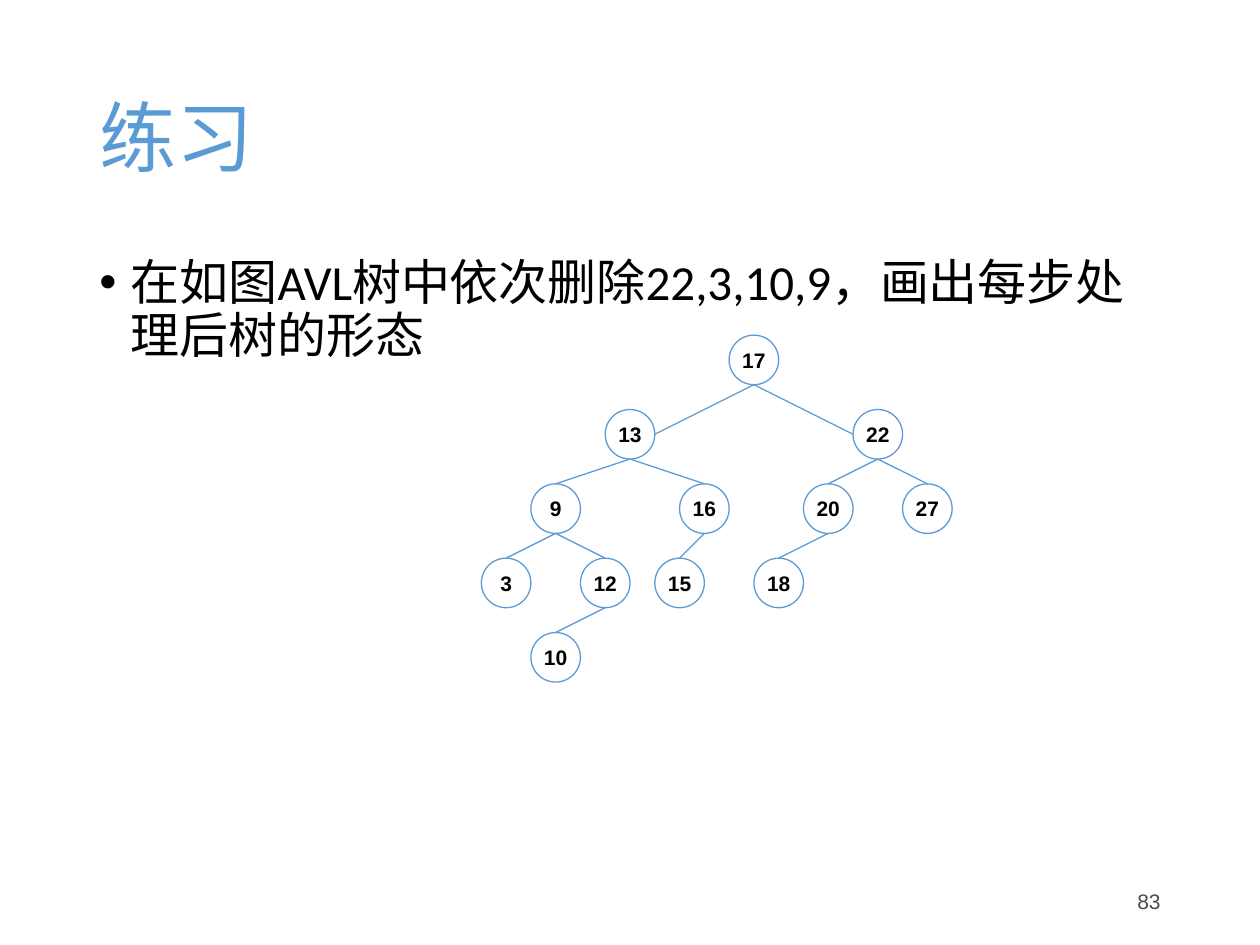
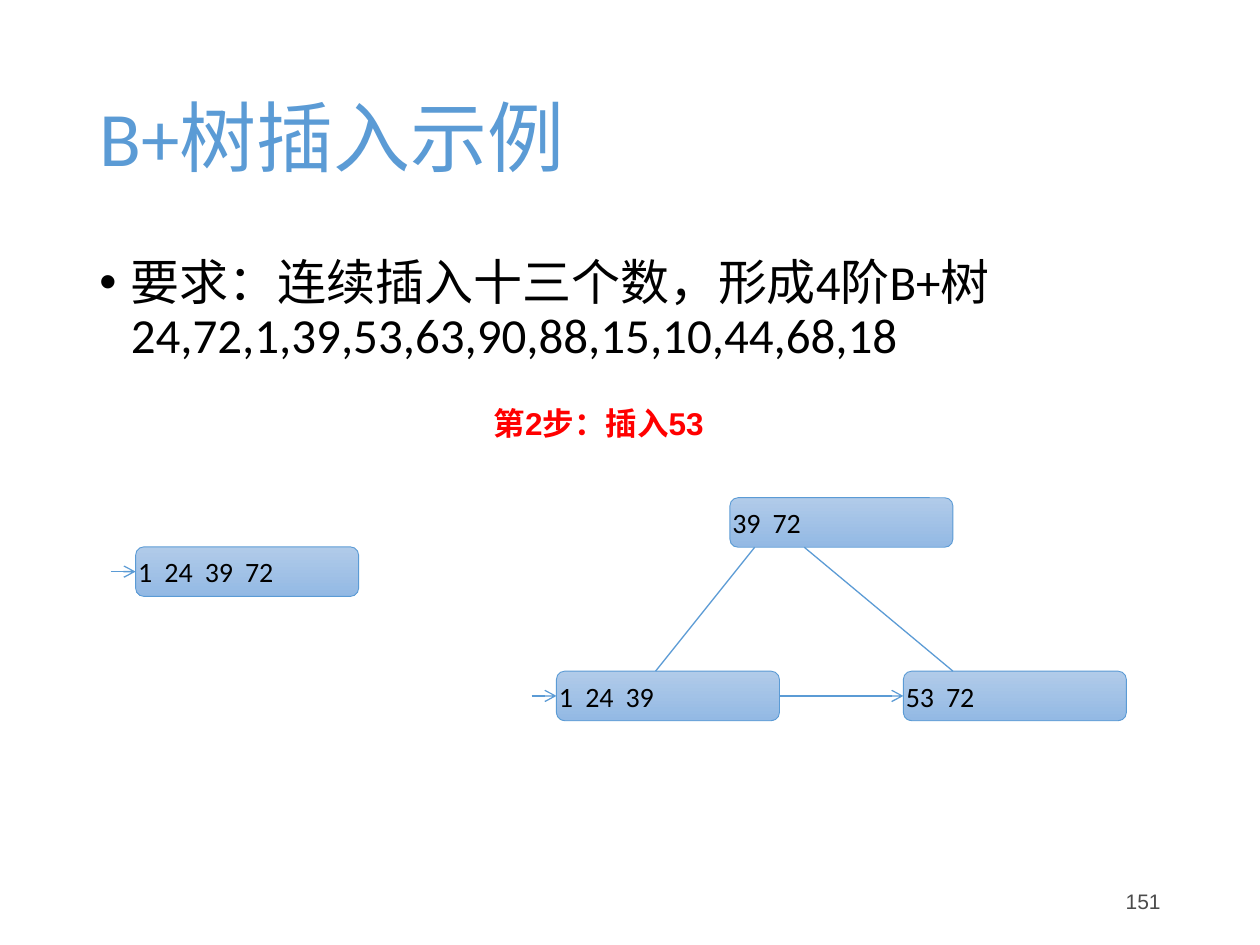
from lxml import etree
from pptx import Presentation
from pptx.dml.color import RGBColor
from pptx.enum import shapes, text
from pptx.oxml.ns import qn
from pptx.util import Inches, Pt

HUE = {"blue": "5B9BD5", "ink": "000000", "gray": "4B4B4B", "red": "FF0000",
       "top": "B1CBE9", "base": "93B9E4"}
UNIT = 0.59 / 3  # grid step of both diagrams, in inches
MID = text.MSO_ANCHOR.MIDDLE


def rgb(name):
    return RGBColor.from_string(HUE[name])


def style(para, size, face, hue, bold=False):
    for run in para.runs:
        run.font.size, run.font.name, run.font.bold = Pt(size), face, bold
        run.font.color.rgb = rgb(hue)


def label(slide, box, words, size, face, hue, bold=False, anchor=MID):
    """Add a wrapping text box and return its paragraph."""
    frame = slide.shapes.add_textbox(*map(Inches, box)).text_frame
    frame.word_wrap = True
    frame.vertical_anchor = anchor
    frame.text = words
    para = frame.paragraphs[0]
    style(para, size, face, hue, bold)
    return para


def frame_page(deck, title, body, number):
    """Start a slide with its title, bullet and page number."""
    slide = deck.slides.add_slide(deck.slide_layouts[6])
    head = label(slide, (0.69, 0.4, 8.62, 1.45), title, 44, "Calibri", "blue")
    point = label(slide, (0.69, 2, 8.62, 4.76), body, 28, "Calibri", "ink",
                  anchor=text.MSO_ANCHOR.TOP)
    props = point._p.get_or_add_pPr()
    props.set("marL", str(Inches(0.25)))
    props.set("indent", str(Inches(-0.25)))
    font = etree.SubElement(props, qn("a:buFont"))
    font.set("typeface", "Arial")
    etree.SubElement(props, qn("a:buChar")).set("char", "•")
    head.line_spacing = point.line_spacing = 0.9
    page = label(slide, (7.06, 6.95, 2.25, 0.4), number, 12, "Arial", "gray")
    page.alignment = text.PP_ALIGN.RIGHT
    return slide


class Grid:
    """Places parts by grid steps from a left top corner."""

    def __init__(self, slide, left, top):
        self.shapes, self.left, self.top = slide.shapes, left, top

    def spot(self, col, row):
        return Inches(self.left + col * UNIT), Inches(self.top + row * UNIT)

    def shape(self, kind, col, row, wide, line):
        part = self.shapes.add_shape(kind, *self.spot(col, row),
                                     Inches(wide * UNIT), Inches(2 * UNIT))
        part.shadow.inherit = False
        part.line.color.rgb = rgb("blue")
        part.line.width = Pt(line)
        frame = part.text_frame
        frame.vertical_anchor = MID
        frame.margin_left = frame.margin_top = 0
        frame.margin_right = frame.margin_bottom = 0
        return part

    def link(self, start, end, arrow=False):
        line = self.shapes.add_connector(shapes.MSO_CONNECTOR.STRAIGHT,
                                         *self.spot(*start), *self.spot(*end))
        line.line.color.rgb = rgb("blue")
        line.line.width = Pt(0.75)
        if arrow:
            stroke = line.line._get_or_add_ln()
            etree.SubElement(stroke, qn("a:tailEnd")).set("type", "arrow")
        etree.SubElement(line._element.spPr, qn("a:effectLst"))


# key: (column, level, parent)
AVL = {"17": (10, 0, None), "13": (5, 1, "17"), "22": (15, 1, "17"),
       "9": (2, 2, "13"), "16": (8, 2, "13"), "20": (13, 2, "22"),
       "27": (17, 2, "22"), "3": (0, 3, "9"), "12": (4, 3, "9"),
       "15": (7, 3, "16"), "18": (11, 3, "20"), "10": (2, 4, "12")}


def avl_tree(slide, left, top):
    grid = Grid(slide, left, top)
    for key, (col, level, up) in AVL.items():
        row = 3 * level
        node = grid.shape(shapes.MSO_SHAPE.OVAL, col, row, 2, 0.75)
        node.fill.background()
        node.text_frame.word_wrap = False
        node.text_frame.text = key
        para = node.text_frame.paragraphs[0]
        para.alignment = text.PP_ALIGN.CENTER
        style(para, 12, "Arial", "ink", True)
        if up:
            pcol, plevel, _ = AVL[up]
            end = (col + 1, row)
            if plevel == 0:  # edges from the root meet the near side
                end = (col + 2 if col < pcol else col, row + 1)
            grid.link((pcol + 1, 3 * plevel + 2), end)


def block(grid, col, row, keys):
    """Draw one B+ tree node with its keys set on tab stops."""
    node = grid.shape(shapes.MSO_SHAPE.ROUNDED_RECTANGLE, col, row, 9, 0.5)
    node.fill.gradient()
    node.fill.gradient_angle = 270
    for stop, hue in zip(node.fill.gradient_stops, ("top", "base")):
        stop.color.rgb = rgb(hue)
    frame = node.text_frame
    frame.margin_right = Inches(0.2)
    frame.text = "\t".join(keys)
    para = frame.paragraphs[0]
    tabs = etree.SubElement(para._p.get_or_add_pPr(), qn("a:tabLst"))
    place = 0
    for key in keys[:-1]:
        place += 0.11 * len(key) + 0.1
        tab = etree.SubElement(tabs, qn("a:tab"))
        tab.set("pos", str(Inches(place)))
        tab.set("algn", "l")
    para.alignment = text.PP_ALIGN.LEFT
    style(para, 16, "Calibri", "ink")


def before(slide, left, top):
    grid = Grid(slide, left, top)
    block(grid, 1, 0, ["1", "24", "39", "72"])
    grid.link((0, 1), (1, 1), True)


def after(slide, left, top):
    grid = Grid(slide, left, top)
    block(grid, 8, 0, ["39", "72"])
    block(grid, 1, 7, ["1", "24", "39"])
    block(grid, 15, 7, ["53", "72"])
    grid.link((0, 8), (1, 8), True)
    grid.link((10, 8), (15, 8), True)
    grid.link((9, 2), (5, 7))
    grid.link((11, 2), (17, 7))


def main():
    deck = Presentation()
    deck.slide_width, deck.slide_height = Inches(10), Inches(7.5)

    slide = frame_page(deck, "练习",
                       "在如图AVL树中依次删除22,3,10,9，画出每步处理后树的形态", "83")
    avl_tree(slide, 3.82, 2.66)

    slide = frame_page(
        deck, "B+树插入示例",
        "要求：连续插入十三个数，形成4阶B+树24,72,1,39,53,63,90,88,15,10,44,68,18",
        "151")
    label(slide, (3.82, 3.16, 3.73, 0.4), "第2步：插入53", 18, "Arial", "red",
          True, text.MSO_ANCHOR.TOP)
    before(slide, 0.88, 4.34)
    after(slide, 4.22, 3.95)
    deck.save("out.pptx")


if __name__ == "__main__":
    main()
